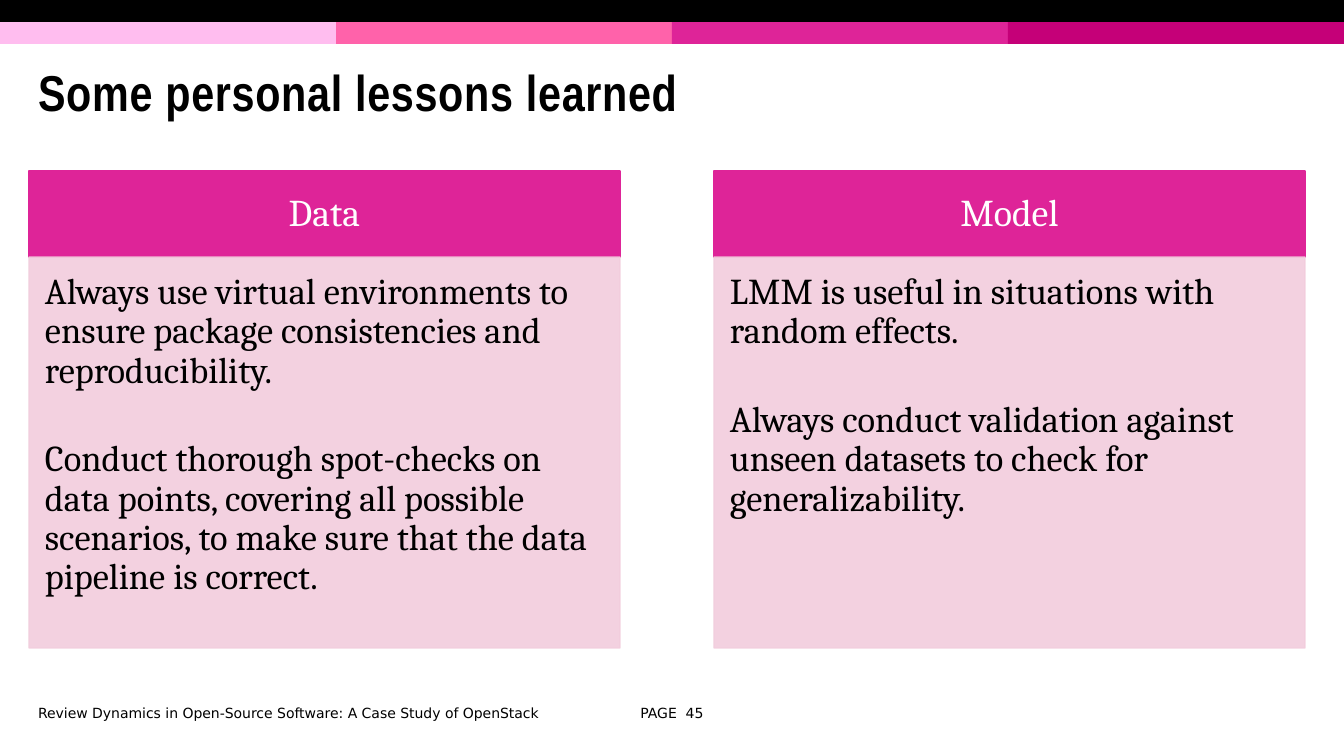
from lxml import etree
from pptx import Presentation
from pptx import util as u
from pptx.dml.color import RGBColor
from pptx.enum import shapes, text
from pptx.oxml import ns

PX = 914400 / 100.8
HUES = {"black": "000000", "white": "FFFFFF", "blush": "FFBDEF", "rose": "FF62AA",
        "pink": "DE2498", "plum": "C50078", "pale": "F2CDDD"}
CARDS = {
    "Data": [
        "Always use virtual environments to ensure package consistencies and reproducibility.",
        "Conduct thorough spot-checks on data points, covering all possible scenarios, "
        "to make sure that the data pipeline is correct."],
    "Model": [
        "LMM is useful in situations with random effects.",
        "Always conduct validation against unseen datasets to check for generalizability."],
}
FOOT = [
    ("Review Dynamics in Open-Source Software: A Case Study of OpenStack",
     28, 577, text.PP_ALIGN.LEFT),
    ("PAGE  45", 616, 112, text.PP_ALIGN.CENTER),
]


def block(x, y, w, h, hue, edge=False):
    box = slide.shapes.add_shape(shapes.MSO_SHAPE.RECTANGLE,
                                 *[round(n * PX) for n in (x, y, w, h)])
    box.shadow.inherit = False
    box.fill.solid()
    box.fill.fore_color.rgb = RGBColor.from_string(HUES[hue])
    if edge:
        box.line.color.rgb = RGBColor.from_string(HUES[hue])
        box.line.width = u.Pt(1)
    else:
        box.line.fill.background()
    return box


def write(box, lines, face, size, hue, align, anchor, pads=(10, 5, 10, 5), pitch=1, gap=0):
    frame = box.text_frame
    frame.word_wrap = True
    frame.auto_size = text.MSO_AUTO_SIZE.NONE
    frame.vertical_anchor = anchor
    (frame.margin_left, frame.margin_top,
     frame.margin_right, frame.margin_bottom) = [round(n * PX) for n in pads]
    for i, line in enumerate(lines):
        para = frame.add_paragraph() if i else frame.paragraphs[0]
        para.text = line
        para.alignment = align
        para.line_spacing = pitch
        para.space_before = u.Pt(gap if i else 0)
        para.space_after = u.Pt(0)
        para.font.name = face
        para.font.size = u.Pt(size)
        para.font.color.rgb = RGBColor.from_string(HUES[hue])


deck = Presentation()
deck.slide_width = round(1344 * PX)
deck.slide_height = round(756 * PX)
slide = deck.slides.add_slide(deck.slide_layouts[5])
left, mid = text.PP_ALIGN.LEFT, text.PP_ALIGN.CENTER
top, middle = text.MSO_ANCHOR.TOP, text.MSO_ANCHOR.MIDDLE

for i, hue in enumerate(["blush", "rose", "pink", "plum"]):
    block(336 * i, 22, 336, 22, hue)
block(0, 0, 1344, 22, "black")

title = slide.shapes.title
title.left, title.top, title.width, title.height = [round(n * PX) for n in (28, 47, 1275, 99)]
write(title, ["Some personal lessons learned"], "Arial Narrow", 36, "black", left, middle,
      pitch=0.85)
para = title.text_frame.paragraphs[0]
para.font.bold = True
para.runs[0].font._element.set("spc", "50")

for i, (name, notes) in enumerate(CARDS.items()):
    x = 29 + 685 * i
    head = block(x, 171, 591, 86, "pink", True)
    write(head, [name], "Cambria", 27, "white", mid, middle, (21, 12, 21, 12), 0.9)
    body = block(x, 257, 591, 391, "pale", True)
    for tint in body._element.spPr.iter(ns.qn("a:srgbClr")):
        etree.SubElement(tint, ns.qn("a:alpha")).set("val", "90000")
    write(body, notes, "Cambria", 26, "black", left, top, (16, 16, 21, 24), 0.9, 35.5)

for line, x, w, align in FOOT:
    box = slide.shapes.add_textbox(*[round(n * PX) for n in (x, 699, w, 27)])
    write(box, [line], "DejaVu Sans", 10, "black", align, middle)

deck.save("out.pptx")
